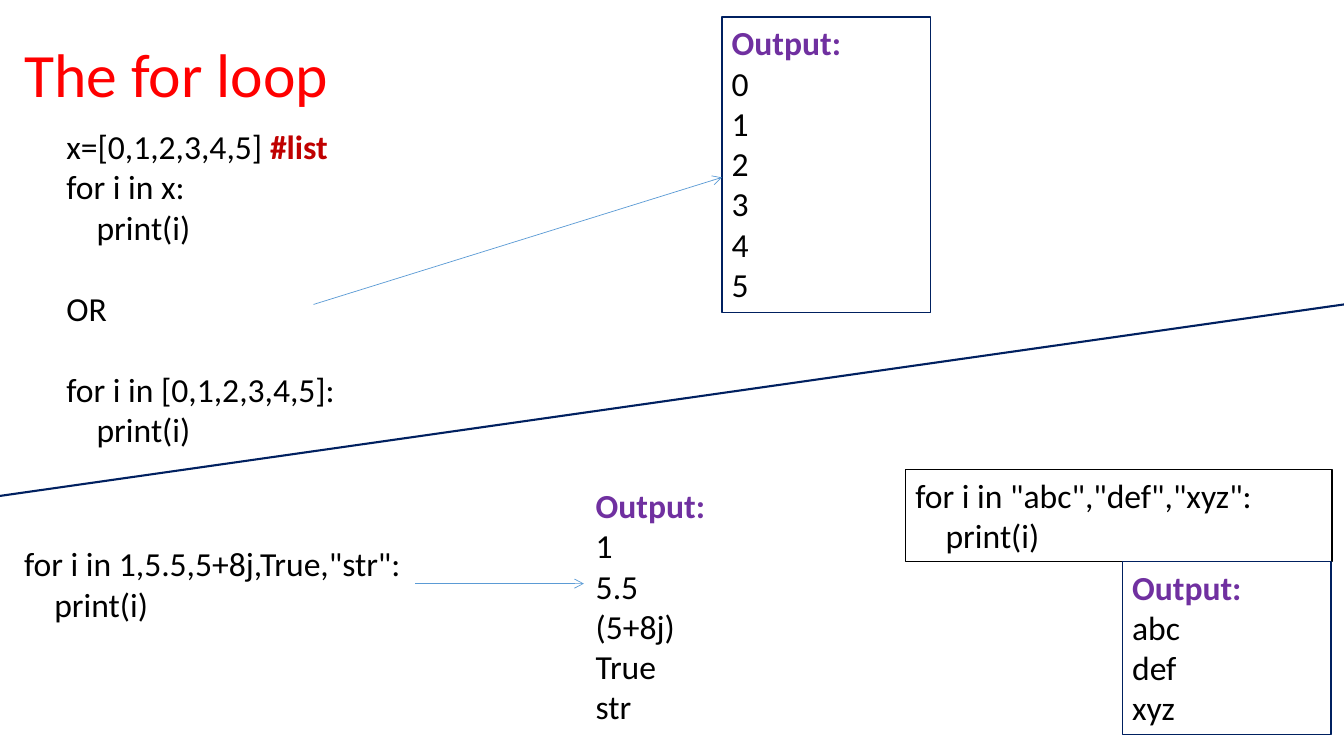
from lxml import etree
from pptx import Presentation
from pptx.dml.color import RGBColor
from pptx.enum.shapes import MSO_CONNECTOR
from pptx.enum.text import MSO_ANCHOR, MSO_AUTO_SIZE, PP_ALIGN
from pptx.oxml.ns import qn
from pptx.util import Inches, Pt

STRAIGHT = MSO_CONNECTOR.STRAIGHT
MIDDLE = MSO_ANCHOR.MIDDLE
NO_FIT = MSO_AUTO_SIZE.NONE
GROW = MSO_AUTO_SIZE.SHAPE_TO_FIT_TEXT
LEFT = PP_ALIGN.LEFT

BLACK = RGBColor(0x00, 0x00, 0x00)
RED = RGBColor(0xFF, 0x00, 0x00)
DARK_RED = RGBColor(0xC0, 0x00, 0x00)
PURPLE = RGBColor(0x70, 0x30, 0xA0)
NAVY = RGBColor(0x00, 0x20, 0x60)
BLUE = RGBColor(0x5B, 0x9B, 0xD5)

TITLE_ONLY = 5
GRID = 100
LINE_ROWS = 5.39
PADDING_ROWS = 1.33


class SlideBuilder:
    font = "Calibri"
    size = 24
    blank_line = Pt(29.3)
    code_indent = Inches(0.3)

    def __init__(self, prs):
        self.col = prs.slide_width / GRID
        self.row = prs.slide_height / GRID
        self.s = prs.slides.add_slide(prs.slide_layouts[TITLE_ONLY])

    def x(self, cols):
        return round(cols * self.col)

    def y(self, rows):
        return round(rows * self.row)

    def run(self, p, text, color=BLACK, bold=False, size=None):
        r = p.add_run()
        r.text = text
        r.font.name = self.font
        r.font.size = Pt(size or self.size)
        r.font.color.rgb = color
        r.font.bold = bold

    def title(self, text, left, top, width, height):
        sp = self.s.shapes.title
        sp.left, sp.top = self.x(left), self.y(top)
        sp.width, sp.height = self.x(width), self.y(height)
        tf = sp.text_frame
        tf.auto_size = NO_FIT
        tf.vertical_anchor = MIDDLE
        p = tf.paragraphs[0]
        p.alignment = LEFT
        p.line_spacing = 0.9
        self.run(p, text, RED, size=44)

    def text(self, lines, left, top, width, outline=None, gaps=()):
        height = LINE_ROWS * len(lines) + PADDING_ROWS
        sp = self.s.shapes.add_textbox(
            self.x(left), self.y(top), self.x(width), self.y(height))
        if outline is not None:
            sp.line.color.rgb = outline
            sp.line.width = Pt(1)
        tf = sp.text_frame
        tf.word_wrap = True
        tf.auto_size = GROW
        for i, runs in enumerate(lines):
            p = tf.paragraphs[0] if i == 0 else tf.add_paragraph()
            if i in gaps:
                p.space_before = self.blank_line
            if runs[0][0].startswith("print"):
                p._p.get_or_add_pPr().set("marL", str(self.code_indent))
            for r in runs:
                self.run(p, *r)

    def code(self, lines, left, top, width, **style):
        self.text([[(line,)] for line in lines], left, top, width, **style)

    def output(self, values, left, top, width, outline=None):
        heading = [("Output:", PURPLE, True)]
        self.text([heading] + [[(v,)] for v in values],
                  left, top, width, outline)

    def line(self, start, end, color, width, arrow=False):
        c = self.s.shapes.add_connector(
            STRAIGHT, self.x(start[0]), self.y(start[1]),
            self.x(end[0]), self.y(end[1]))
        c.line.color.rgb = color
        c.line.width = Pt(width)
        if arrow:
            ln = c.line._get_or_add_ln()
            etree.SubElement(ln, qn("a:tailEnd"), type="arrow")
        etree.SubElement(c._element.spPr, qn("a:effectLst"))


prs = Presentation()
prs.slide_width, prs.slide_height = Inches(13.33), Inches(7.5)
slide = SlideBuilder(prs)

slide.title("The for loop", 1.05, 0.53, 86.27, 19.33)

slide.text([[("x=[0,1,2,3,4,5] ",), ("#list", DARK_RED, True)],
            [("for i in x:",)], [("print(i)",)], [("OR",)]],
           4.2, 16, 55.51, gaps=(3,))
slide.output([str(i) for i in range(6)], 53.71, 2.27, 15.53, NAVY)
slide.code(["for i in [0,1,2,3,4,5]:", "print(i)"], 4.2, 48.13, 55.51)

slide.code(['for i in "abc","def","xyz":', "print(i)"],
           67.37, 62.13, 31.73, outline=BLACK)
slide.output(["abc", "def", "xyz"], 83.5, 74.27, 15.53, NAVY)

slide.code(['for i in 1,5.5,5+8j,True,"str":', "print(i)"], 1.05, 71.2, 50.04)
slide.output(["1", "5.5", "(5+8j)", "True", "str"], 43.59, 63.47, 11.63)

slide.line((23.33, 40.27), (53.71, 23.47), BLUE, 0.5, arrow=True)
slide.line((30.91, 77.2), (43.44, 77.2), BLUE, 0.5, arrow=True)
slide.line((0, 65.6), (GRID, 40.27), NAVY, 1.5)

prs.save("out.pptx")
